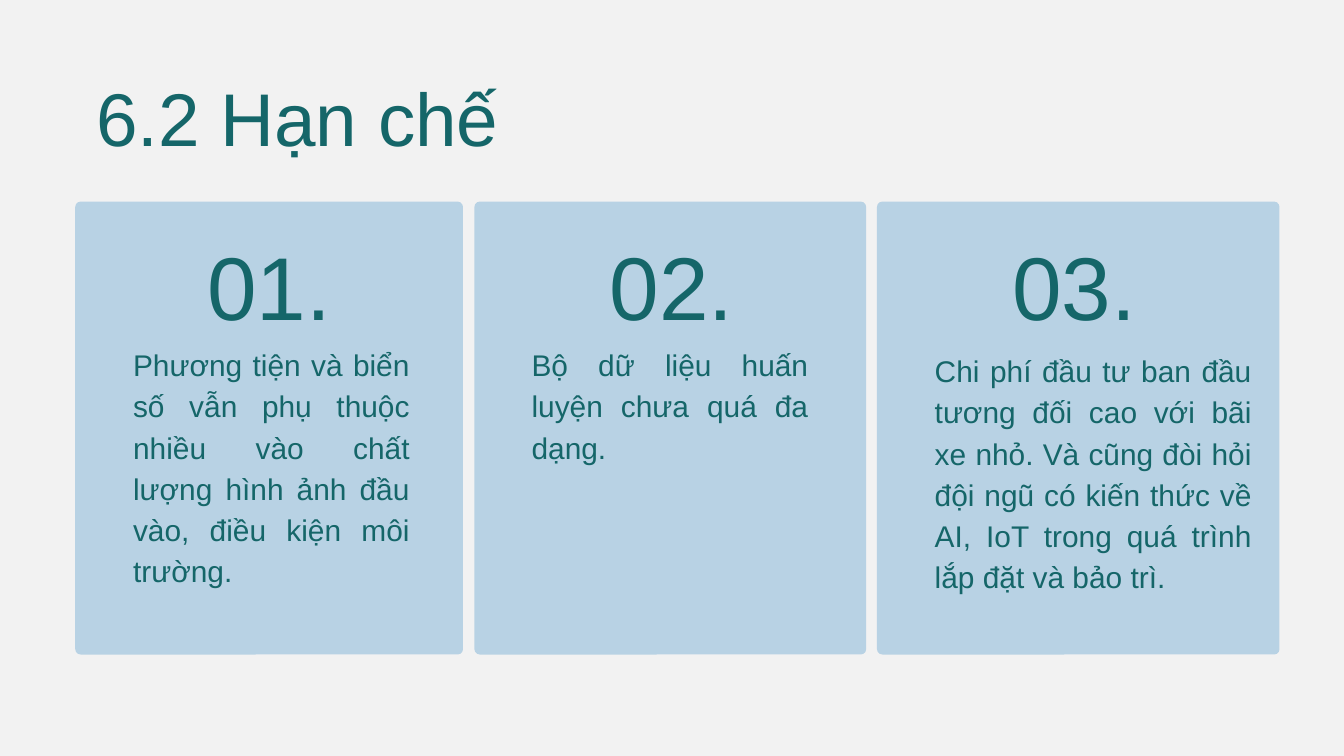
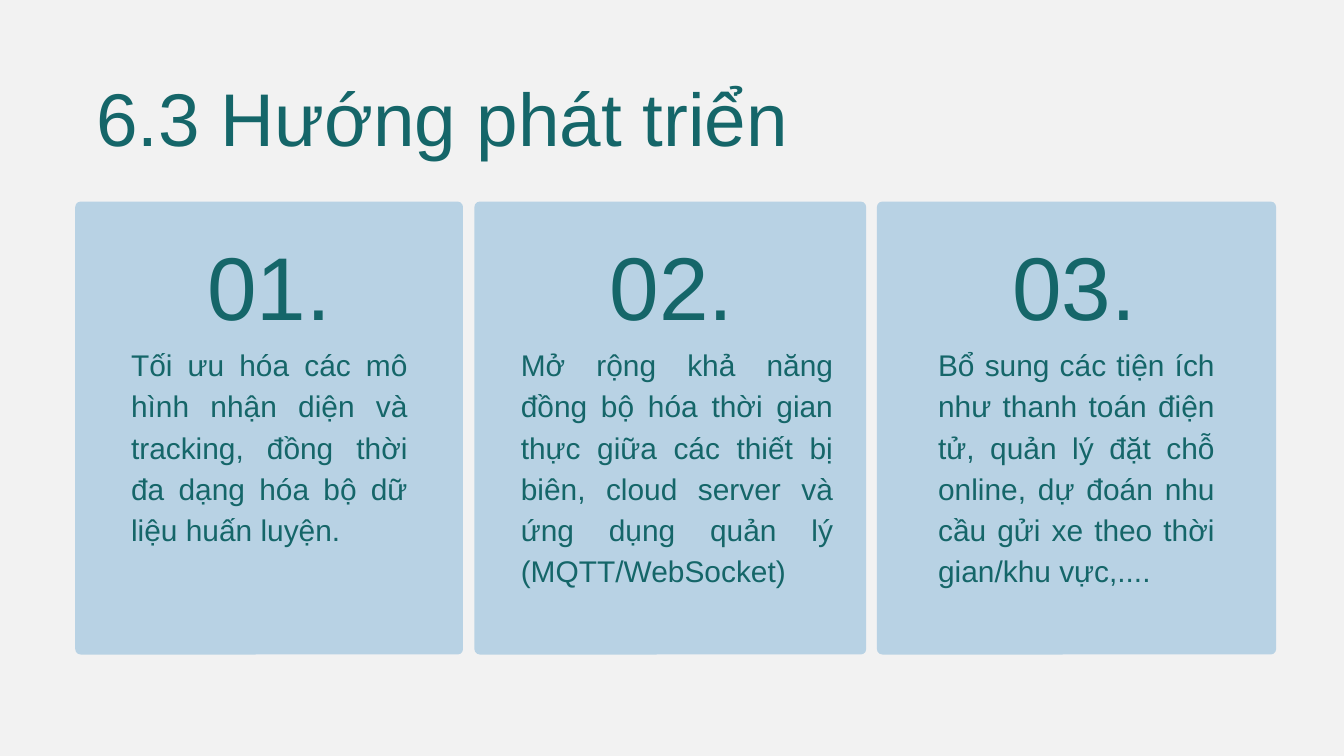
from dataclasses import dataclass

from pptx import Presentation
from pptx.dml.color import RGBColor
from pptx.enum.shapes import MSO_SHAPE
from pptx.enum.text import MSO_ANCHOR, MSO_AUTO_SIZE, PP_ALIGN
from pptx.presentation import Presentation as Deck
from pptx.slide import Slide
from pptx.text.text import TextFrame
from pptx.util import Inches, Pt

BACKGROUND = RGBColor(0xF2, 0xF2, 0xF2)
CARD_BLUE = RGBColor(0xB8, 0xD2, 0xE4)
TEAL = RGBColor(0x15, 0x66, 0x69)
FONT = "Arial"
TITLE_ONLY = 5

MARGIN = 1.12
TITLE_INDENT = 0.31
CARD_TOP = 3
CARD_HEIGHT = 6.74
CORNER_RADIUS = 0.08
NUMBER_LEFT = 3.05
NUMBER_PITCH = 5.99
HEADING_SPACING = 0.96
BODY_SPACING = 1.15


@dataclass(frozen=True)
class Card:
    left: float
    width: float
    text: str
    text_left: float
    text_width: float = 4.12
    text_top: float = 5.08
    text_height: float = 3.64


@dataclass(frozen=True)
class Section:
    title: str
    cards: tuple[Card, ...]


SECTIONS = (
    Section("6.2 Hạn chế", (
        Card(MARGIN, 5.77,
             "Phương tiện và biển số vẫn phụ thuộc nhiều vào chất lượng hình ảnh "
             "đầu vào, điều kiện môi trường.", 1.98),
        Card(7.06, 5.83, "Bộ dữ liệu huấn luyện chưa quá đa dạng.", 7.91,
             text_height=1.78),
        Card(13.05, 5.99,
             "Chi phí đầu tư ban đầu tương đối cao với bãi xe nhỏ. Và cũng đòi hỏi "
             "đội ngũ có kiến thức về AI, IoT trong quá trình lắp đặt và bảo trì.",
             13.91, text_width=4.72, text_top=5.17),
    )),
    Section("6.3 Hướng phát triển", (
        Card(MARGIN, 5.77,
             "Tối ưu hóa các mô hình nhận diện và tracking, đồng thời đa dạng hóa "
             "bộ dữ liệu huấn luyện.", 1.95, text_height=3.02),
        Card(7.06, 5.83,
             "Mở rộng khả năng đồng bộ hóa thời gian thực giữa các thiết bị biên, "
             "cloud server và ứng dụng quản lý (MQTT/WebSocket)",
             7.75, text_width=4.65),
        Card(13.05, 5.94,
             "Bổ sung các tiện ích như thanh toán điện tử, quản lý đặt chỗ online, "
             "dự đoán nhu cầu gửi xe theo thời gian/khu vực,....", 13.96),
    )),
)


def write(frame: TextFrame, text: str, size: float, align: PP_ALIGN,
          spacing: float, indent: float = 0) -> None:
    frame.word_wrap = True
    frame.auto_size = MSO_AUTO_SIZE.NONE
    frame.vertical_anchor = MSO_ANCHOR.TOP
    frame.margin_left = Inches(indent)
    frame.margin_top = frame.margin_right = frame.margin_bottom = 0
    frame.text = text
    para = frame.paragraphs[0]
    para.alignment = align
    para.line_spacing = spacing
    para.font.name = FONT
    para.font.size = Pt(size)
    para.font.color.rgb = TEAL


def add_text(page: Slide, left: float, top: float, width: float, height: float,
             text: str, size: float, align: PP_ALIGN, spacing: float) -> None:
    box = page.shapes.add_textbox(Inches(left), Inches(top), Inches(width), Inches(height))
    write(box.text_frame, text, size, align, spacing)


def add_title(page: Slide, text: str) -> None:
    title = page.shapes.title
    title.left, title.top = Inches(MARGIN), Inches(1.16)
    title.width, title.height = Inches(15.47), Inches(1.08)
    write(title.text_frame, text, 80, PP_ALIGN.LEFT, HEADING_SPACING, TITLE_INDENT)


def add_card(page: Slide, index: int, card: Card) -> None:
    panel = page.shapes.add_shape(
        MSO_SHAPE.ROUNDED_RECTANGLE, Inches(card.left), Inches(CARD_TOP),
        Inches(card.width), Inches(CARD_HEIGHT))
    panel.adjustments[0] = CORNER_RADIUS / min(card.width, CARD_HEIGHT)
    panel.shadow.inherit = False
    panel.fill.solid()
    panel.fill.fore_color.rgb = CARD_BLUE
    panel.line.fill.background()
    add_text(page, NUMBER_LEFT + index * NUMBER_PITCH, 3.54, 1.91, 1.54,
             f"{index + 1:02}.", 95.5, PP_ALIGN.CENTER, HEADING_SPACING)
    add_text(page, card.text_left, card.text_top, card.text_width, card.text_height,
             card.text, 32, PP_ALIGN.JUSTIFY, BODY_SPACING)


def add_section(deck: Deck, section: Section) -> None:
    page = deck.slides.add_slide(deck.slide_layouts[TITLE_ONLY])
    add_title(page, section.title)
    for index, card in enumerate(section.cards):
        add_card(page, index, card)


def main() -> None:
    deck = Presentation()
    deck.slide_width, deck.slide_height = Inches(20), Inches(11.25)
    backdrop = deck.slide_master.background.fill
    backdrop.solid()
    backdrop.fore_color.rgb = BACKGROUND
    for section in SECTIONS:
        add_section(deck, section)
    deck.save("out.pptx")


if __name__ == "__main__":
    main()
